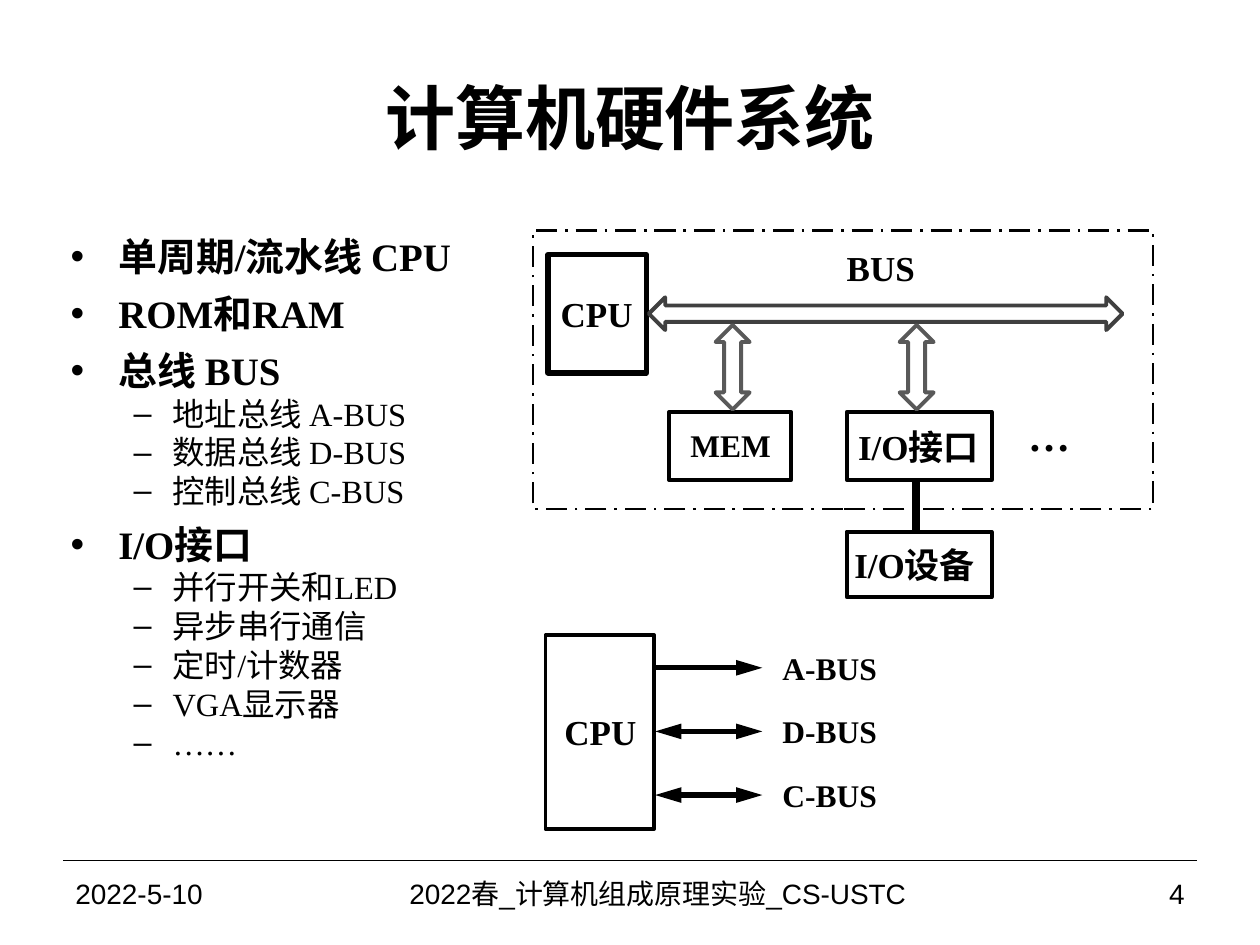
from dataclasses import dataclass

from lxml import etree
from pptx import Presentation
from pptx import util as u
from pptx.dml.color import RGBColor
from pptx.enum import dml, shapes, text
from pptx.oxml import ns


@dataclass(frozen=True)
class Theme:
    black: str = "000000"
    bus: str = "404040"
    link: str = "595959"
    serif: str = "Times New Roman"
    sans: str = "Arial"
    title: float = 40
    topic: float = 22.2
    detail: float = 18.5
    large: float = 24
    label: float = 20
    small: float = 18
    footer: float = 16


T = Theme()
W, H = 10, 7.5
MARGIN = 0.05 * W
FOOT_Y, FOOT_H = 6.83, 0.52
BOX_X, IO_X = 4.33, 6.72
SIGNAL_Y, SIGNAL_GAP = 5.3, 0.505

TITLE = "计算机硬件系统"
TOPICS = [
    ("单周期/流水线 CPU", []),
    ("ROM和RAM", []),
    ("总线 BUS", ["地址总线 A-BUS", "数据总线 D-BUS", "控制总线 C-BUS"]),
    ("I/O接口", ["并行开关和LED", "异步串行通信", "定时/计数器", "VGA显示器", "……"]),
]
# left, top, width, height, line width, dash
BOXES = [
    (4.23, 1.83, 4.92, 2.21, 1.5, dml.MSO_LINE.LONG_DASH_DOT),
    (4.35, 2.02, 0.78, 0.94, 3, None),
    (5.31, 3.27, 0.97, 0.54, 2.25, None),
    (IO_X, 3.27, 1.15, 0.54, 2.25, None),
    (IO_X, 4.22, 1.15, 0.52, 2.25, None),
    (BOX_X, 5.04, 0.86, 1.54, 2.25, None),
]
# text, left, top, width, height, size
LABELS = [
    ("BUS", IO_X, 1.96, 0.58, 0.33, T.label),
    ("CPU", 4.45, 2.32, 0.6, 0.33, T.label),
    ("MEM", 5.48, 3.38, 0.66, 0.3, T.small),
    ("I/O接口", 6.81, 3.38, 1.05, 0.33, T.label),
    ("…", 8.16, 3.25, 0.35, 0.4, T.large),
    ("I/O设备", 6.78, 4.31, 1.05, 0.33, T.label),
    ("CPU", 4.48, 5.64, 0.6, 0.33, T.label),
]
SIGNALS = [("A-BUS", False), ("D-BUS", True), ("C-BUS", True)]
FOOTERS = [
    ("2022-5-10", 2.33, text.PP_ALIGN.LEFT),
    ("2022春_计算机组成原理实验_CS-USTC", 4.78, text.PP_ALIGN.CENTER),
    ("4", 1.89, text.PP_ALIGN.RIGHT),
]


def place(sp, *box):
    sp.left, sp.top, sp.width, sp.height = map(u.Inches, box)


def write(p, content, size, font=T.serif, bold=False, align=None):
    r = p.add_run()
    r.text = content
    r.font.size, r.font.name, r.font.bold = u.Pt(size), font, bold
    r.font.color.rgb = RGBColor.from_string(T.black)
    p.alignment = align


def add_label(s, content, box, size, inset=(0, 0), wrap=False,
              anchor=text.MSO_ANCHOR.TOP, **fmt):
    """Add a text box; without wrap it grows to hold its single line."""
    tf = s.shapes.add_textbox(*map(u.Inches, box)).text_frame
    tf.margin_left = tf.margin_right = u.Inches(inset[0])
    tf.margin_top = tf.margin_bottom = u.Inches(inset[1])
    tf.word_wrap, tf.vertical_anchor = wrap, anchor
    if not wrap:
        tf.auto_size = text.MSO_AUTO_SIZE.SHAPE_TO_FIT_TEXT
    write(tf.paragraphs[0], content, size, **fmt)


def add_outline(s, kind, box, color, width, dash=None):
    sp = s.shapes.add_shape(kind, *map(u.Inches, box))
    sp.shadow.inherit = False
    sp.fill.background()
    sp.line.color.rgb = RGBColor.from_string(color)
    sp.line.width = u.Pt(width)
    if dash is not None:
        sp.line.dash_style = dash


def add_line(s, x1, y1, x2, y2, width, ends=()):
    """Draw a straight line; ends lists headEnd and/or tailEnd."""
    c = s.shapes.add_connector(shapes.MSO_CONNECTOR.STRAIGHT,
                               *map(u.Inches, (x1, y1, x2, y2)))
    c.line.color.rgb = RGBColor.from_string(T.black)
    c.line.width = u.Pt(width)
    ln = c.line._get_or_add_ln()
    for end in ends:
        etree.SubElement(ln, ns.qn(f"a:{end}"), type="triangle", len="lg")
    etree.SubElement(c._element.spPr, ns.qn("a:effectLst"))


def add_item(p, content, level):
    size, bullet, left, hang, before = (
        (T.topic, "•", 0.38, 0.38, 6), (T.detail, "–", 0.81, 0.31, 0))[level]
    p.level = level
    p.space_before, p.line_spacing = u.Pt(before), u.Pt(round(1.2 * size, 1))
    write(p, content, size, bold=level == 0, align=text.PP_ALIGN.LEFT)
    pPr = p._p.get_or_add_pPr()
    pPr.set("marL", str(u.Inches(left)))
    pPr.set("indent", str(-u.Inches(hang)))
    etree.SubElement(pPr, ns.qn("a:buChar"), char=bullet)


def add_text(s):
    title, body = s.shapes.title, s.placeholders[1]
    place(title, MARGIN, 0.3, W - 2 * MARGIN, 1.25)
    title.text_frame.vertical_anchor = text.MSO_ANCHOR.MIDDLE
    write(title.text_frame.paragraphs[0], TITLE, T.title, font=T.sans,
          bold=True, align=text.PP_ALIGN.CENTER)

    place(body, 0.46, 1.8, 3.5, 4.77)
    tf = body.text_frame
    tf.auto_size = text.MSO_AUTO_SIZE.NONE
    items = [item for topic, details in TOPICS
             for item in [(topic, 0)] + [(d, 1) for d in details]]
    for i, (content, level) in enumerate(items):
        add_item(tf.add_paragraph() if i else tf.paragraphs[0], content, level)


def add_diagram(s):
    kind = shapes.MSO_SHAPE
    for *box, width, dash in BOXES:
        add_outline(s, kind.RECTANGLE, box, T.black, width, dash)
    add_outline(s, kind.LEFT_RIGHT_ARROW, (5.15, 2.36, 3.76, 0.26), T.bus, 2.25)
    for x in (5.68, 7.14):
        add_outline(s, kind.UP_DOWN_ARROW, (x, 2.58, 0.27, 0.67), T.link, 2.25)
    add_line(s, 7.27, 3.8, 7.27, 4.22, 4.5)
    for content, *box, size in LABELS:
        add_label(s, content, box, size, bold=True)
    for i, (name, both_ways) in enumerate(SIGNALS):
        y = SIGNAL_Y + i * SIGNAL_GAP
        ends = ("headEnd", "tailEnd") if both_ways else ("tailEnd",)
        add_line(s, 5.2, y, 6.05, y, 3, ends)
        add_label(s, name, (6.21, y - 0.15, 0.77, 0.3), T.small, bold=True)


def add_footer(s):
    add_line(s, MARGIN, FOOT_Y, W - MARGIN, FOOT_Y, 0.75)
    x = MARGIN
    for content, width, align in FOOTERS:
        add_label(s, content, (x, FOOT_Y, width, FOOT_H), T.footer,
                  inset=(0.1, 0.05), wrap=True, font=T.sans, align=align,
                  anchor=text.MSO_ANCHOR.MIDDLE)
        x += width


def main():
    prs = Presentation()
    prs.slide_width, prs.slide_height = u.Inches(W), u.Inches(H)
    s = prs.slides.add_slide(prs.slide_layouts[1])
    add_text(s)
    add_diagram(s)
    add_footer(s)
    prs.save("out.pptx")


if __name__ == "__main__":
    main()
